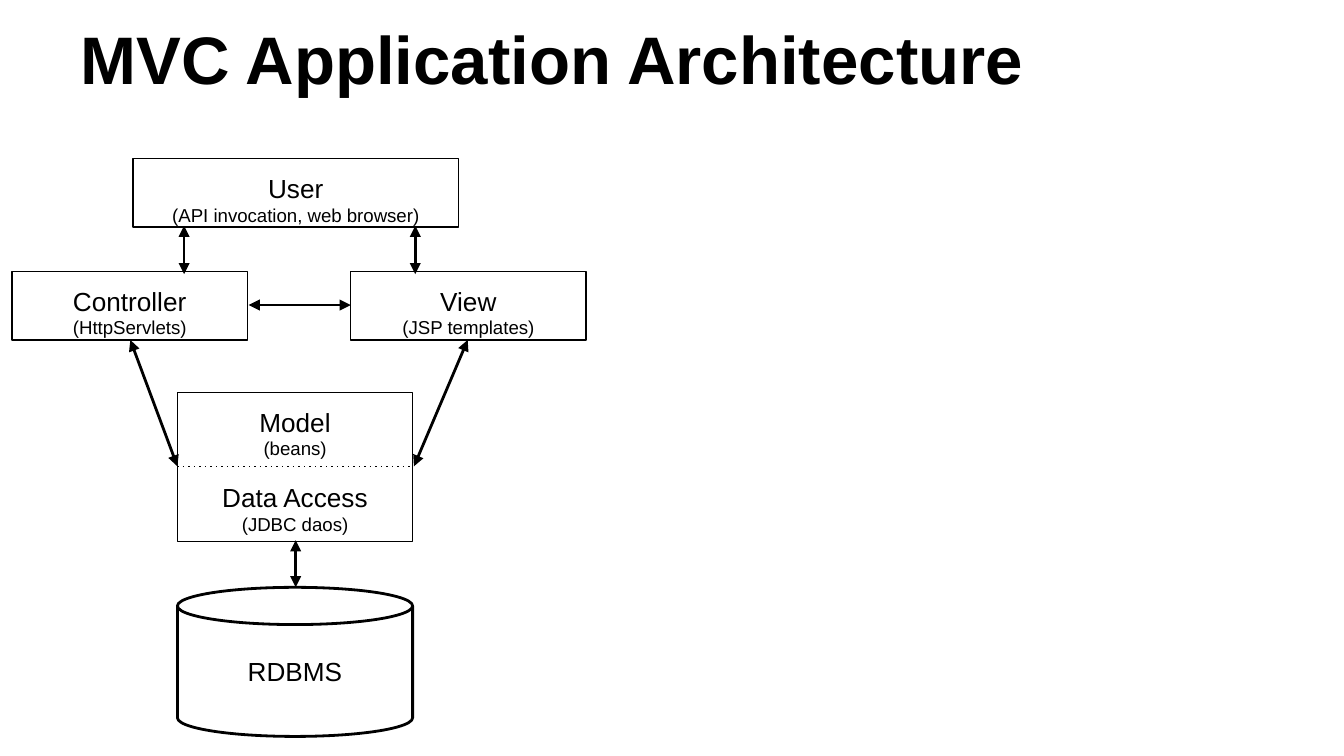
from lxml import etree
from pptx import Presentation
from pptx.dml.color import RGBColor
from pptx.enum import shapes, text
from pptx.oxml import ns
from pptx.util import Inches, Pt

COLORS = {"ink": "000000"}
INK = RGBColor.from_string(COLORS["ink"])

prs = Presentation()
prs.slide_width, prs.slide_height = Inches(10), Inches(5.625)
s = prs.slides.add_slide(prs.slide_layouts[6])


def write(sp, lines, bold=False, align=text.PP_ALIGN.CENTER,
          anchor=text.MSO_ANCHOR.TOP):
    """Fill a shape with (text, size, space before) paragraphs."""
    tf = sp.text_frame
    tf.word_wrap = True
    tf.vertical_anchor = anchor
    tf.margin_left = tf.margin_right = Inches(0.1)
    tf.margin_top = tf.margin_bottom = Inches(0.1)
    for i, (words, size, before) in enumerate(lines):
        p = tf.add_paragraph() if i else tf.paragraphs[0]
        p.alignment = align
        p.space_before = Pt(before)
        r = p.add_run()
        r.text = words
        r.font.name, r.font.size, r.font.bold = "Arial", Pt(size), bold
        r.font.color.rgb = INK


def connect(x1, y1, x2, y2, width=1.5, arrows=True):
    """Draw a double-headed arrow, or a plain dotted line."""
    line = s.shapes.add_connector(shapes.MSO_CONNECTOR.STRAIGHT, Inches(x1),
                                  Inches(y1), Inches(x2), Inches(y2))
    line.line.color.rgb = INK
    line.line.width = Pt(width)
    ln = line._element.spPr.find(ns.qn("a:ln"))
    if arrows:
        for end in ("a:headEnd", "a:tailEnd"):
            etree.SubElement(ln, ns.qn(end), type="triangle")
    else:
        etree.SubElement(ln, ns.qn("a:prstDash"), val="dot")
    etree.SubElement(line._element.spPr, ns.qn("a:effectLst"))


title = s.shapes.add_textbox(Inches(0.5), Inches(-0.11), Inches(9), Inches(0.94))
write(title, [("MVC Application Architecture", 36, 0)], bold=True,
      align=text.PP_ALIGN.LEFT, anchor=text.MSO_ANCHOR.BOTTOM)

RECT, CAN = shapes.MSO_SHAPE.RECTANGLE, shapes.MSO_SHAPE.CAN
TOP, MIDDLE = text.MSO_ANCHOR.TOP, text.MSO_ANCHOR.MIDDLE
layers = [
    (RECT, 0.99, 1.18, 2.42, 0.51, 0.75, TOP,
     [("User", 14, 0), ("(API invocation, web browser)", 10, 0)]),
    (RECT, 0.09, 2.02, 1.75, 0.51, 0.75, TOP,
     [("Controller", 14, 0), ("(HttpServlets)", 10, 0)]),
    (RECT, 2.61, 2.02, 1.75, 0.51, 0.75, TOP,
     [("View", 14, 0), ("(JSP templates)", 10, 0)]),
    (RECT, 1.32, 2.92, 1.75, 1.11, 0.75, TOP,
     [("Model", 14, 0), ("(beans)", 10, 0),
      ("Data Access", 14, 11.5), ("(JDBC daos)", 10, 0)]),
    (CAN, 1.32, 4.37, 1.75, 1.11, 1.5, MIDDLE, [("RDBMS", 14, 0)]),
]
for kind, x, y, w, h, width, anchor, lines in layers:
    sp = s.shapes.add_shape(kind, Inches(x), Inches(y), Inches(w), Inches(h))
    sp.shadow.inherit = False
    sp.fill.background()
    sp.line.color.rgb = INK
    sp.line.width = Pt(width)
    write(sp, lines, anchor=anchor)

# Divider between the model and its data access
connect(1.32, 3.47, 3.08, 3.47, width=0.75, arrows=False)

for ends in [
    (2.2, 4.02, 2.2, 4.37),     # data access - database
    (0.97, 2.53, 1.32, 3.47),   # controller - model
    (3.08, 3.47, 3.48, 2.53),   # model - view
    (1.85, 2.27, 2.61, 2.27),   # controller - view
    (1.37, 1.68, 1.37, 2.04),   # user - controller
    (3.09, 1.68, 3.09, 2.04),   # user - view
]:
    connect(*ends)

prs.save("out.pptx")
